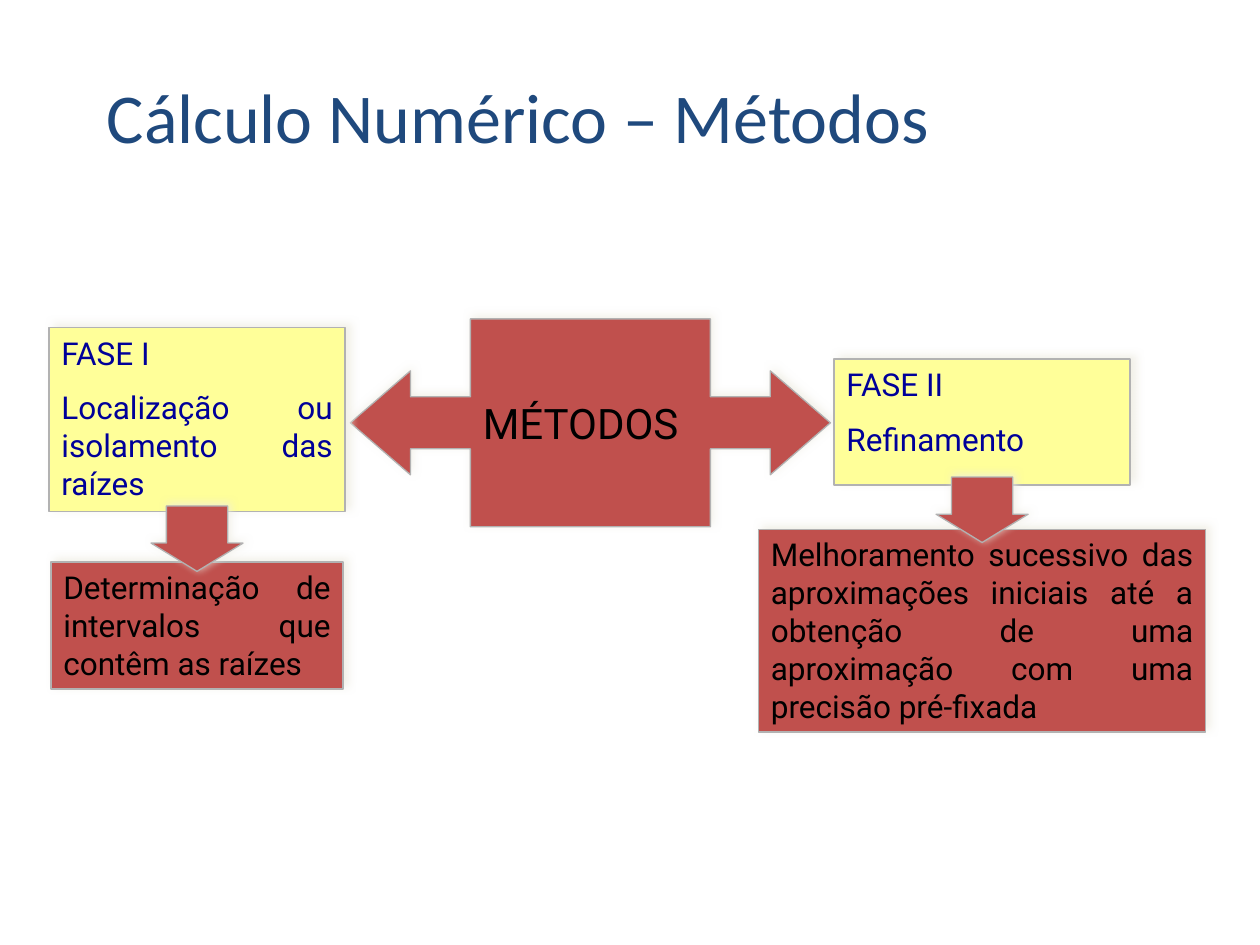
import pptx
import pptx.util
import pptx.dml.color
import pptx.enum.shapes
import pptx.enum.text
import pptx.oxml.ns
import lxml.etree

Pt = pptx.util.Pt
RGB = pptx.dml.color.RGBColor.from_string
SHAPE = pptx.enum.shapes.MSO_SHAPE
ALIGN = pptx.enum.text.PP_ALIGN
ANCHOR = pptx.enum.text.MSO_ANCHOR

COLORS = {"title": "1F497D", "red": "C0504D", "yellow": "FFFF99", "blue": "000099",
          "black": "000000", "line": "B2B2B2", "shadow": "EEECE1"}

TITLE = "Cálculo Numérico – Métodos"
CENTER = "MÉTODOS"

# Each phase is a column centred on axis; boxes are (top, width, height)
PHASES = [
    {"axis": 112.6, "arrow_middle": 307.8,
     "phase": ["FASE I", "Localização ou isolamento das raízes"],
     "phase_box": (187.2, 169.2, 105.1),
     "result": "Determinação de intervalos que contêm as raízes",
     "result_box": (321.1, 167, 72.7)},
    {"axis": 561.2, "arrow_middle": 291.3,
     "phase": ["FASE II", "Refinamento"],
     "phase_box": (205.2, 169.2, 72),
     "result": "Melhoramento sucessivo das aproximações iniciais até a obtenção "
               "de uma aproximação com uma precisão pré-fixada",
     "result_box": (302.4, 255.6, 115.9)},
]
ARROW_LENGTH, ARROW_WIDTH = 37.4, 52.6
PARAGRAPH_GAP = 9.4


def add_shadow(s, dist, angle):
    qn = pptx.oxml.ns.qn
    s.shadow.inherit = False
    effects = s._element.spPr.find(qn("a:effectLst"))
    shadow = lxml.etree.SubElement(
        effects, qn("a:outerShdw"), blurRad=str(Pt(5)), dist=str(Pt(dist)),
        dir=str(angle * 60000), algn="ctr", rotWithShape="0")
    color = lxml.etree.SubElement(shadow, qn("a:srgbClr"), val=COLORS["shadow"])
    lxml.etree.SubElement(color, qn("a:alpha"), val="75000")


def add_block(slide, kind, box, fill, shadow, adjustments=()):
    s = slide.shapes.add_shape(kind, *(Pt(v) for v in box))
    for i, value in enumerate(adjustments):
        s.adjustments[i] = value
    s.fill.solid()
    s.fill.fore_color.rgb = RGB(COLORS[fill])
    s.line.color.rgb = RGB(COLORS["line"])
    s.line.width = Pt(0.75)
    add_shadow(s, *shadow)
    return s


def write(s, lines, size, color, font="Roboto", anchor=ANCHOR.TOP, wrap=True):
    """Fill s with lines given as (text, alignment)."""
    tf = s.text_frame
    tf.word_wrap = wrap
    tf.vertical_anchor = anchor
    for i, (text, align) in enumerate(lines):
        p = tf.add_paragraph() if i else tf.paragraphs[0]
        p.alignment = align
        if i:
            p.space_before = Pt(PARAGRAPH_GAP)
        r = p.add_run()
        r.text = text
        r.font.name = font
        r.font.size = Pt(size)
        r.font.color.rgb = RGB(COLORS[color])


def centered(axis, box):
    top, width, height = box
    return axis - width / 2, top, width, height


def main():
    prs = pptx.Presentation()
    prs.slide_width, prs.slide_height = Pt(720), Pt(540)
    slide = prs.slides.add_slide(prs.slide_layouts[6])

    title = slide.shapes.add_textbox(Pt(54), Pt(43.2), Pt(613.4), Pt(50.4))
    write(title, [(TITLE, ALIGN.LEFT)], 40, "title", "Calibri", ANCHOR.BOTTOM)

    callout = add_block(slide, SHAPE.LEFT_RIGHT_ARROW_CALLOUT, (200.2, 182.2, 274.3, 118.8),
                        "red", (2.2, 297), (0.25, 0.25, 0.289, 0.5))
    write(callout, [(CENTER, ALIGN.LEFT)], 24, "black", anchor=ANCHOR.MIDDLE, wrap=False)

    for phase in PHASES:
        axis = phase["axis"]
        name, description = phase["phase"]
        s = add_block(slide, SHAPE.RECTANGLE, centered(axis, phase["phase_box"]),
                      "yellow", (3.6, 326))
        write(s, [(name, ALIGN.LEFT), (description, ALIGN.JUSTIFY)], 18, "blue")

        s = add_block(slide, SHAPE.RECTANGLE, centered(axis, phase["result_box"]),
                      "red", (2.9, 317))
        write(s, [(phase["result"], ALIGN.JUSTIFY)], 18, "black")

    for phase in PHASES:
        top = phase["arrow_middle"] - ARROW_WIDTH / 2
        box = centered(phase["axis"], (top, ARROW_LENGTH, ARROW_WIDTH))
        arrow = add_block(slide, SHAPE.RIGHT_ARROW, box, "red", (1.4, 315), (0.667, 0.432))
        arrow.rotation = 90

    prs.save("out.pptx")


if __name__ == "__main__":
    main()
